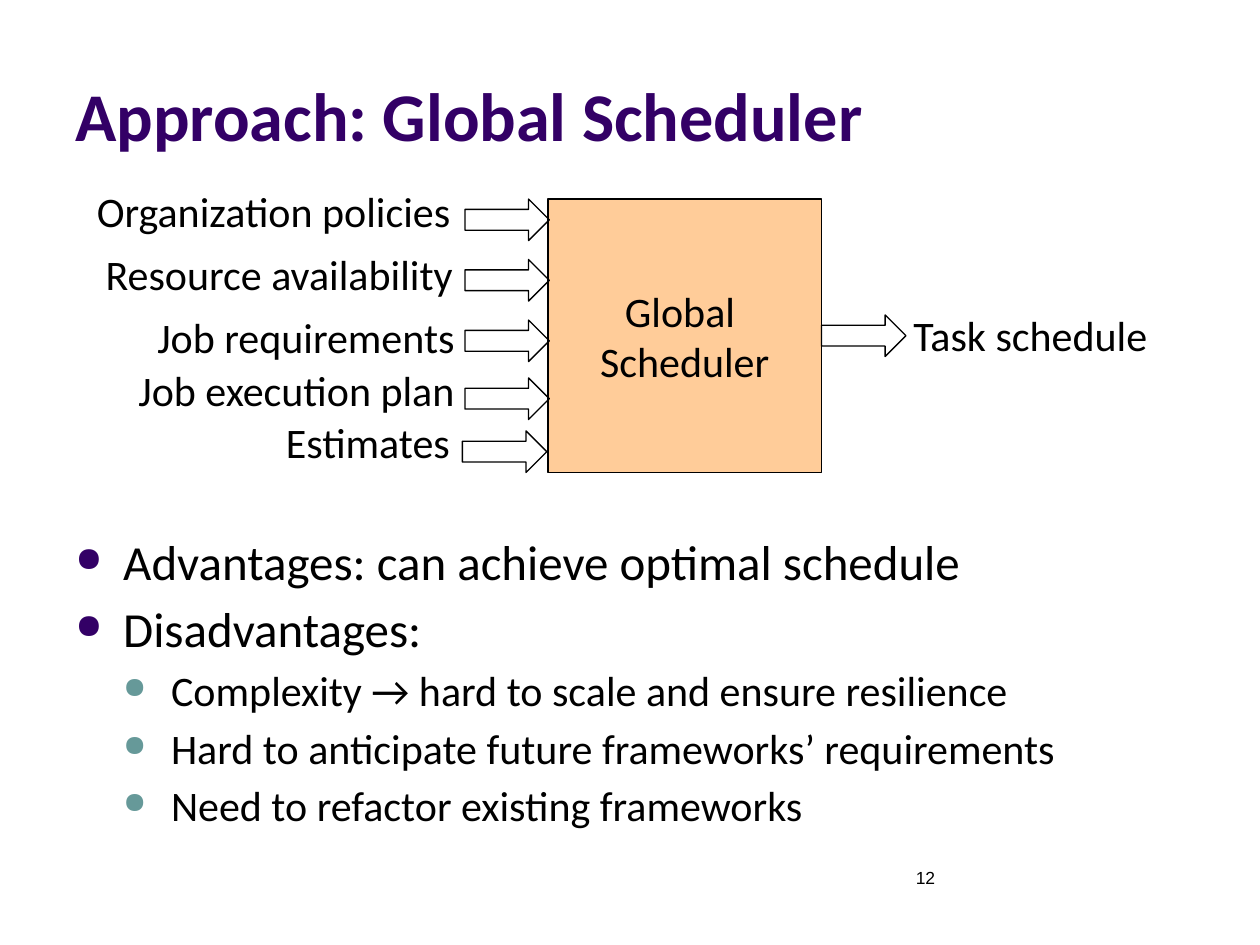
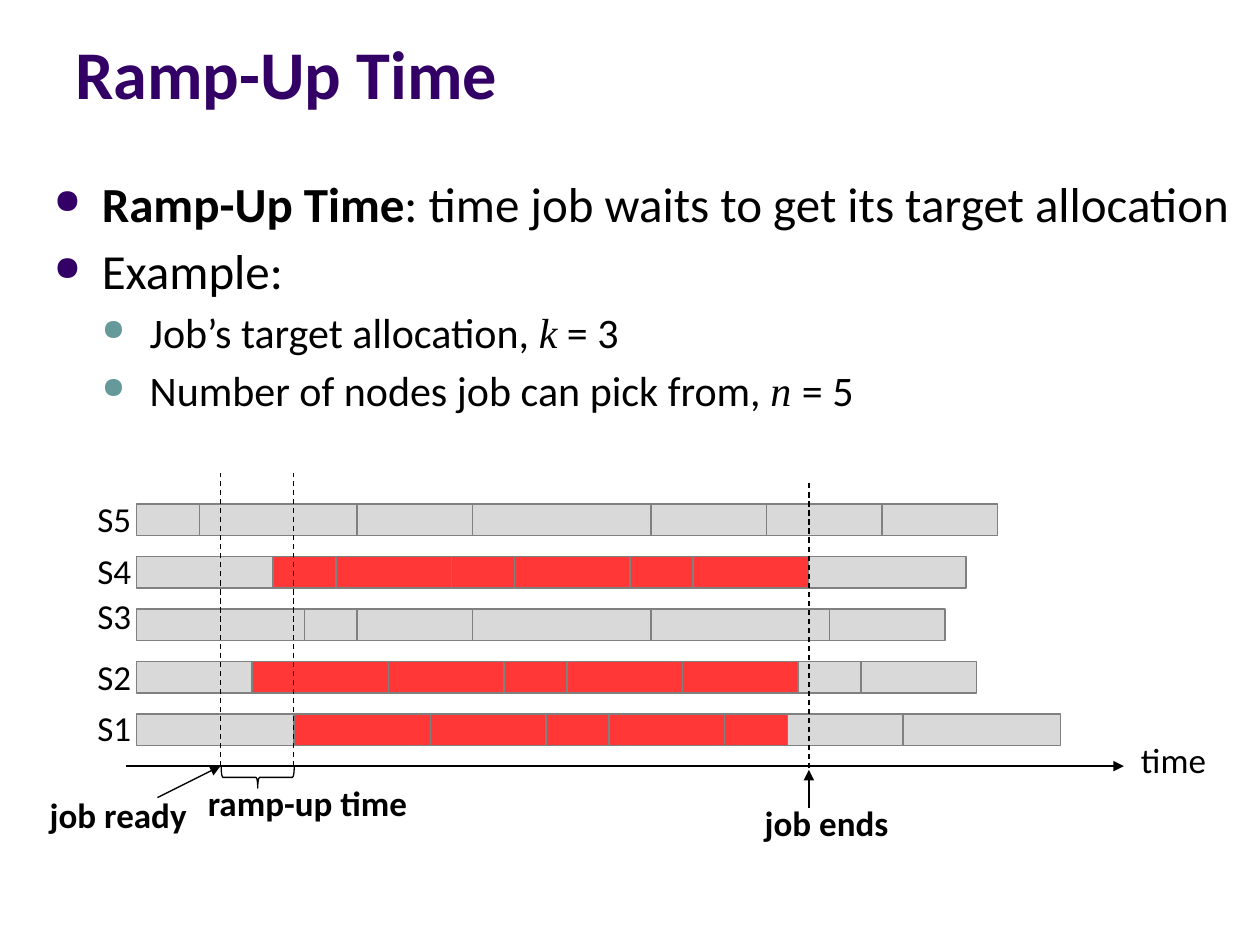
from dataclasses import dataclass

from lxml import etree
from pptx import Presentation
from pptx import util as u
from pptx.dml.color import RGBColor
from pptx.enum import dml, shapes, text
from pptx.oxml import ns

COLOURS = {
    "black": "000000",
    "title": "330066",
    "sub_bullet": "669999",
    "scheduler": "FFCC99",
    "other_task": "D9D9D9",
    "job_task": "FF3737",
    "task_edge": "808080",
}
TITLE = {"size": u.Pt(39), "bold": True}
BODY = {"size": u.Pt(28)}
SUB_BODY = {"size": u.Pt(24)}
CAPTION = {"size": u.Pt(20)}
STRONG_CAPTION = {**CAPTION, "bold": True}
MATH = {"name": "Times New Roman", "italic": True}
LEFT, CENTRE, RIGHT = (text.PP_ALIGN.LEFT, text.PP_ALIGN.CENTER, text.PP_ALIGN.RIGHT)
INDENT = 0.38


@dataclass
class Box:
    left: float
    top: float
    width: float
    height: float

    def lengths(self) -> list:
        return [u.Inches(n) for n in (self.left, self.top, self.width, self.height)]


@dataclass
class Flow:
    label: str
    label_box: Box
    arrow_left: float
    arrow_top: float


@dataclass
class Bullet:
    runs: list  # pairs of text and extra format
    level: int = 0


@dataclass
class Server:
    name: str
    label_top: float
    before: list  # task lengths in twelfths of an inch
    job: list
    after: list


@dataclass
class Line:
    start: tuple
    end: tuple
    arrow: bool = False
    dashed: bool = False


# Shared drawing functions
def rgb(colour: str) -> RGBColor:
    return RGBColor.from_string(COLOURS[colour])


def add_run(paragraph, words: str, style: dict, colour: str = "black") -> None:
    run = paragraph.add_run()
    run.text = words
    for key, value in {"name": "Calibri", **style}.items():
        setattr(run.font, key, value)
    run.font.color.rgb = rgb(colour)


def add_text(slide, words: str, box: Box, style: dict, colour: str = "black",
             align=LEFT, anchor=text.MSO_ANCHOR.TOP, wrap: bool = False) -> None:
    frame = slide.shapes.add_textbox(*box.lengths()).text_frame
    frame.word_wrap = wrap
    frame.vertical_anchor = anchor
    paragraph = frame.paragraphs[0]
    paragraph.alignment = align
    add_run(paragraph, words, style, colour)


def add_title(slide, words: str, height: float) -> None:
    add_text(slide, words, Box(0.5, 0, 9, height), TITLE, "title",
             anchor=text.MSO_ANCHOR.BOTTOM, wrap=True)


def add_bullets(slide, bullets: list, box: Box) -> None:
    frame = slide.shapes.add_textbox(*box.lengths()).text_frame
    frame.word_wrap = True
    for index, bullet in enumerate(bullets):
        paragraph = frame.add_paragraph() if index else frame.paragraphs[0]
        style = SUB_BODY if bullet.level else BODY
        paragraph.level = bullet.level
        paragraph.space_before = u.Pt(4.1 if bullet.level else 4.7)
        for words, extra in bullet.runs:
            add_run(paragraph, words, {**style, **extra})
        properties = paragraph._p.get_or_add_pPr()
        properties.set("marL", str(u.Inches(INDENT * (bullet.level + 1))))
        properties.set("indent", str(u.Inches(-INDENT)))
        colour = etree.SubElement(properties, ns.qn("a:buClr"))
        value = COLOURS["sub_bullet" if bullet.level else "title"]
        etree.SubElement(colour, ns.qn("a:srgbClr"), val=value)
        etree.SubElement(properties, ns.qn("a:buSzPct"), val="70000")
        etree.SubElement(properties, ns.qn("a:buChar"), char="●")


def add_shape(slide, kind, box: Box, fill: str = "", edge: str = "black"):
    shape = slide.shapes.add_shape(kind, *box.lengths())
    shape.shadow.inherit = False
    if fill:
        shape.fill.solid()
        shape.fill.fore_color.rgb = rgb(fill)
    else:
        shape.fill.background()
    shape.line.color.rgb = rgb(edge)
    shape.line.width = u.Pt(0.75)
    return shape


def add_line(slide, line: Line) -> None:
    ends = [u.Inches(n) for n in (*line.start, *line.end)]
    connector = slide.shapes.add_connector(shapes.MSO_CONNECTOR.STRAIGHT, *ends)
    connector.line.color.rgb = rgb("black")
    connector.line.width = u.Pt(0.75)
    if line.dashed:
        connector.line.dash_style = dml.MSO_LINE.DASH
    properties = connector._element.spPr
    if line.arrow:
        outline = properties.find(ns.qn("a:ln"))
        etree.SubElement(outline, ns.qn("a:tailEnd"), type="triangle")
    etree.SubElement(properties, ns.qn("a:effectLst"))


# Slide: global scheduler
FLOWS = [
    Flow("Organization policies", Box(0.67, 1.42, 3.06, 0.51), 3.69, 1.58),
    Flow("Resource availability", Box(0.74, 1.92, 3.01, 0.51), 3.69, 2.06),
    Flow("Job requirements", Box(1.15, 2.42, 2.6, 0.51), 3.69, 2.54),
    Flow("Job execution plan", Box(1, 2.84, 2.75, 0.5), 3.69, 3),
    Flow("Estimates", Box(2.17, 3.26, 1.53, 0.5), 3.67, 3.42),
    Flow("Task schedule", Box(7.15, 2.41, 2.1, 0.51), 6.52, 2.5),
]
TRADE_OFFS = [
    Bullet([("Advantages: can achieve optimal schedule", {})]),
    Bullet([("Disadvantages:", {})]),
    Bullet([("Complexity → hard to scale and ensure resilience", {})], 1),
    Bullet([("Hard to anticipate future frameworks’ requirements", {})], 1),
    Bullet([("Need to refactor existing frameworks", {})], 1),
]


def build_scheduler_slide(slide) -> None:
    add_title(slide, "Approach: Global Scheduler", 1.28)
    add_bullets(slide, TRADE_OFFS, Box(0.5, 4.17, 9, 2.75))
    add_text(slide, "12", Box(7.17, 6.83, 2.33, 0.5),
             {"size": u.Pt(10), "name": "Arial"}, wrap=True)

    scheduler = add_shape(slide, shapes.MSO_SHAPE.RECTANGLE,
                          Box(4.35, 1.58, 2.17, 2.17), "scheduler")
    frame = scheduler.text_frame
    frame.word_wrap = False
    frame.vertical_anchor = text.MSO_ANCHOR.MIDDLE
    for paragraph, words in ((frame.paragraphs[0], "Global "),
                             (frame.add_paragraph(), "Scheduler")):
        paragraph.alignment = CENTRE
        add_run(paragraph, words, SUB_BODY)

    for flow in FLOWS:
        add_shape(slide, shapes.MSO_SHAPE.RIGHT_ARROW,
                  Box(flow.arrow_left, flow.arrow_top, 0.67, 0.33))
        add_text(slide, flow.label, flow.label_box, SUB_BODY)


# Slide: ramp-up time
DEFINITIONS = [
    Bullet([("Ramp-Up Time", {"bold": True}),
            (": time job waits to get its target allocation", {})]),
    Bullet([("Example:", {})]),
    Bullet([("Job’s target allocation, ", {}), ("k", MATH), (" = 3", {})], 1),
    Bullet([("Number of nodes job can pick from, ", {}), ("n ", MATH), ("= 5", {})], 1),
]
SERVERS = [
    Server("S5", 3.9, [6, 15, 11, 17, 11, 11, 11], [], []),
    Server("S4", 4.31, [13], [6, 11, 6, 11, 6, 11], [15]),
    Server("S3", 4.67, [16, 5, 11, 17, 17, 11], [], []),
    Server("S2", 5.15, [11], [13, 11, 6, 11, 11], [6, 11]),
    Server("S1", 5.56, [15], [13, 11, 6, 11, 6], [11, 15]),
]
READY, RAMPED, ENDS, AXIS = 1.75, 2.33, 6.42, 6.08
TIME_LINES = [
    Line((1, AXIS), (8.92, AXIS), arrow=True),
    Line((1.25, 6.33), (READY, AXIS), arrow=True),
    Line((ENDS, 6.41), (ENDS, 6.11), arrow=True),
    Line((READY, AXIS), (READY, 3.75), dashed=True),
    Line((RAMPED, AXIS), (RAMPED, 3.75), dashed=True),
    Line((ENDS, 6.17), (ENDS, 3.83), dashed=True),
]
TIME_LABELS = [
    ("time", Box(8.91, 5.81, 0.76, 0.44), CAPTION),
    ("job ready", Box(0, 6.25, 1.58, 0.44), STRONG_CAPTION),
    ("job ends", Box(5.75, 6.31, 1.4, 0.44), STRONG_CAPTION),
    ("ramp-up time", Box(1.33, 6.15, 2, 0.44), STRONG_CAPTION),
]


def add_server(slide, server: Server, top: float) -> None:
    add_text(slide, server.name, Box(0.67, server.label_top, 0.47, 0.44),
             CAPTION, align=RIGHT)
    start = 13
    for fill, tasks in (("other_task", server.before), ("job_task", server.job),
                        ("other_task", server.after)):
        for length in tasks:
            add_shape(slide, shapes.MSO_SHAPE.RECTANGLE,
                      Box(start / 12, top, length / 12, 0.25), fill, "task_edge")
            start += length


def build_ramp_up_slide(slide) -> None:
    add_title(slide, "Ramp-Up Time", 0.95)
    add_bullets(slide, DEFINITIONS, Box(0.33, 1.33, 9.67, 2.42))
    for row, server in enumerate(SERVERS):
        add_server(slide, server, 4 + row * 5 / 12)
    for line in TIME_LINES:
        add_line(slide, line)
    brace = add_shape(slide, shapes.MSO_SHAPE.RIGHT_BRACE, Box(1.96, 5.88, 0.17, 0.58))
    brace.rotation = 90
    brace.adjustments[0] = 0.08
    for words, box, style in TIME_LABELS:
        add_text(slide, words, box, style, align=RIGHT, wrap=True)


def main() -> None:
    presentation = Presentation()
    presentation.slide_width = u.Inches(10)
    presentation.slide_height = u.Inches(7.5)
    for build in (build_scheduler_slide, build_ramp_up_slide):
        build(presentation.slides.add_slide(presentation.slide_layouts[6]))
    presentation.save("out.pptx")


if __name__ == "__main__":
    main()
